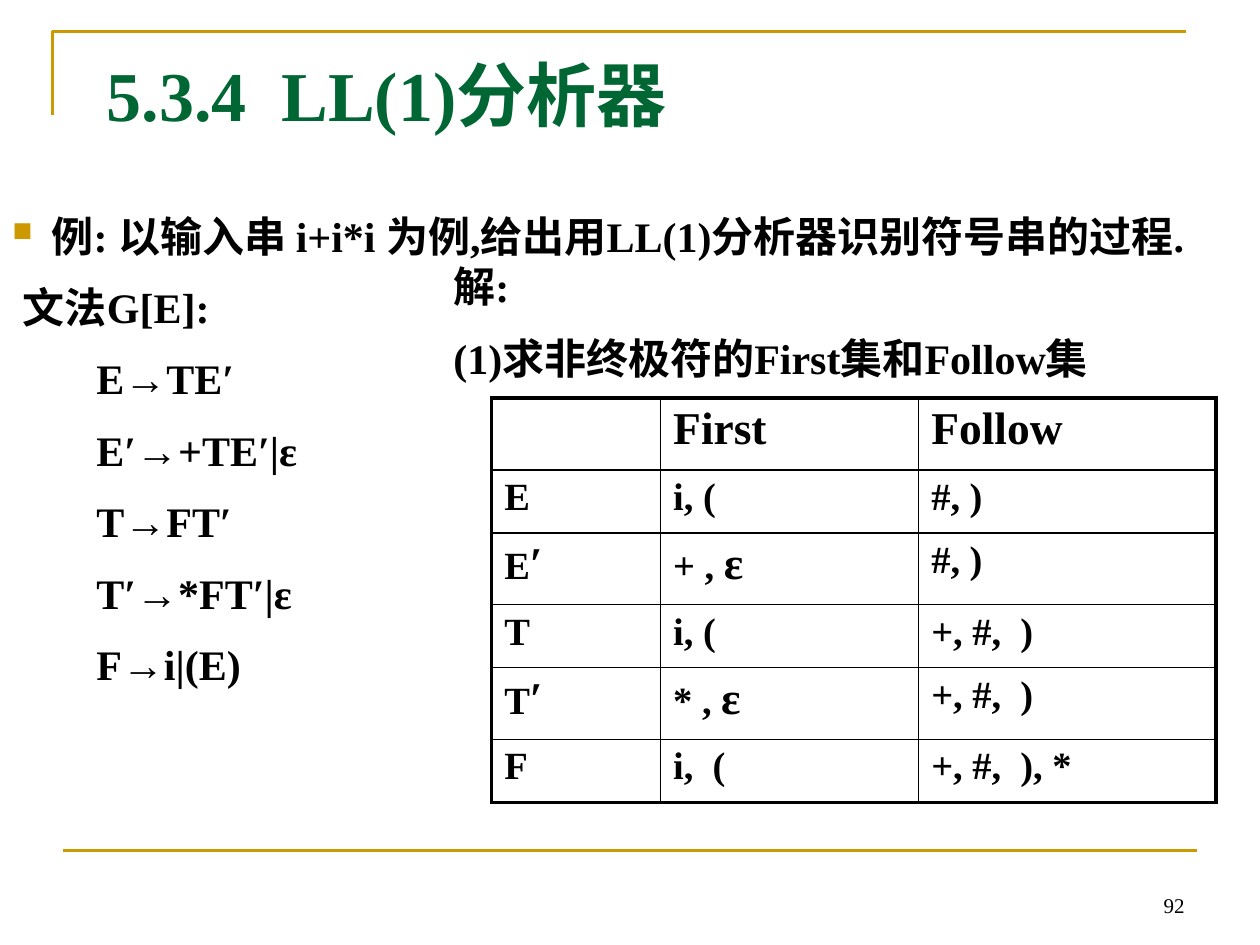
from dataclasses import dataclass

from lxml.etree import SubElement
from pptx import Presentation
from pptx.dml.color import RGBColor as RGB
from pptx.enum.shapes import MSO_CONNECTOR as CONN
from pptx.enum.text import MSO_ANCHOR as ANCHOR, MSO_AUTO_SIZE as AUTO, PP_ALIGN as ALIGN
from pptx.oxml.ns import qn
from pptx.util import Pt


@dataclass(frozen=True)
class Theme:
    font: str = "Times New Roman"
    ink: str = "000000"
    green: str = "006633"
    gold: str = "CC9900"
    title: int = 40
    body: int = 24
    head: int = 26
    cell: int = 22
    number: int = 12
    rule: float = 1.5
    grid: float = 1
    frame: float = 2.25


TH = Theme()
HANG = 17
INDENT = 48
PRODUCTIONS = ["E→TE′", "E′→+TE′|ε", "T→FT′", "T′→*FT′|ε", "F→i|(E)"]
COLS = [96.5, 147.5, 170]
ROWS = [41, 36, 41, 36, 41, 36]
SETS = [
    ["", "First", "Follow"],
    ["E", "i, (", "#, )"],
    ["E′", "+ , ε", "#, )"],
    ["T", "i, (", "+, #,  )"],
    ["T′", "* , ε", "+, #,  )"],
    ["F", "i,  (", "+, #,  ), *"],
]


def set_all(obj, values):
    for name, value in values.items():
        setattr(obj, name, value)


def add_run(p, text, size, color=TH.ink, bold=True):
    r = p.add_run()
    r.text = text
    set_all(r.font, {"name": TH.font, "size": Pt(size), "bold": bold})
    r.font.color.rgb = RGB.from_string(color)


def add_text(s, box, lines, size, color=TH.ink, bold=True, align=ALIGN.LEFT, **frame):
    tf = s.shapes.add_textbox(*map(Pt, box)).text_frame
    set_all(tf, {"word_wrap": True, **frame})
    for i, (text, left) in enumerate(lines):
        p = tf.paragraphs[0] if i == 0 else tf.add_paragraph()
        set_all(p, {"alignment": align, "space_before": Pt(size / 2 if i else 0)})
        p._p.get_or_add_pPr().set("marL", str(Pt(left)))
        add_run(p, text, size, color, bold)
    return tf


def add_bullet(p, hang):
    pPr = p._p.get_or_add_pPr()
    pPr.set("indent", str(-Pt(hang)))
    SubElement(SubElement(pPr, qn("a:buClr")), qn("a:srgbClr"), val=TH.gold)
    SubElement(pPr, qn("a:buSzPct"), val="65000")
    SubElement(pPr, qn("a:buChar"), char="■")


def style_rule(sp):
    sp.line.color.rgb = RGB.from_string(TH.gold)
    sp.line.width = Pt(TH.rule)


def add_corner(s, points):
    start, *rest = [tuple(map(Pt, xy)) for xy in points]
    fb = s.shapes.build_freeform(*start)
    fb.add_line_segments(rest, close=False)
    sp = fb.convert_to_shape()
    sp.fill.background()
    sp.shadow.inherit = False
    style_rule(sp)


def add_rule(s, x1, y1, x2, y2):
    c = s.shapes.add_connector(CONN.STRAIGHT, *map(Pt, (x1, y1, x2, y2)))
    style_rule(c)
    SubElement(c._element.spPr, qn("a:effectLst"))


def set_borders(cell, outer):
    tcPr = cell._tc.get_or_add_tcPr()
    for side, is_outer in outer.items():
        width = TH.frame if is_outer else TH.grid
        ln = SubElement(tcPr, qn(f"a:{side}"), w=str(Pt(width)))
        SubElement(SubElement(ln, qn("a:solidFill")), qn("a:srgbClr"), val=TH.ink)


def fill_cell(cell, text, size):
    p = cell.text_frame.paragraphs[0]
    stem = text.rstrip("′ε")
    if stem:
        add_run(p, stem, size)
    if stem != text:
        add_run(p, text[len(stem):], TH.head)


def add_sets_table(s, left, top):
    shape = s.shapes.add_table(len(ROWS), len(COLS), *map(Pt, (left, top, sum(COLS), sum(ROWS))))
    table = shape.table
    set_all(table, {"first_row": False, "horz_banding": False})
    for col, width in zip(table.columns, COLS):
        col.width = Pt(width)
    for i, (row, height) in enumerate(zip(table.rows, ROWS)):
        row.height = Pt(height)
        for j, cell in enumerate(row.cells):
            fill_cell(cell, SETS[i][j], TH.cell if i else TH.head)
            set_borders(cell, {"lnL": j == 0, "lnR": j == len(COLS) - 1,
                               "lnT": i == 0, "lnB": i == len(ROWS) - 1})
            cell.fill.background()


def main():
    prs = Presentation()
    set_all(prs, {"slide_width": Pt(720), "slide_height": Pt(540)})
    s = prs.slides.add_slide(prs.slide_layouts[6])

    add_corner(s, [(30, 66), (30, 18), (678, 18)])
    add_rule(s, 36, 486, 684, 486)
    add_text(s, (516, 492, 168, 36), [("92", 0)], TH.number, bold=False,
             align=ALIGN.RIGHT, vertical_anchor=ANCHOR.BOTTOM)

    example = [(" 例: 以输入串 i+i*i 为例,给出用LL(1)分析器识别符号串的过程.", HANG), ("文法G[E]:", 6)]
    grammar = [(rule, INDENT) for rule in PRODUCTIONS]
    tf = add_text(s, (0, 116.5, 711, 298), example + grammar, TH.body,
                  auto_size=AUTO.SHAPE_TO_FIT_TEXT)
    add_bullet(tf.paragraphs[0], HANG)

    add_text(s, (252, 145.5, 453.5, 80), [("解:", 0), ("(1)求非终极符的First集和Follow集", 0)],
             TH.body, auto_size=AUTO.SHAPE_TO_FIT_TEXT)
    add_sets_table(s, 281, 227.5)
    add_text(s, (54, 26, 618, 51), [("5.3.4  LL(1)分析器", 0)], TH.title, TH.green)
    prs.save("out.pptx")


if __name__ == "__main__":
    main()
